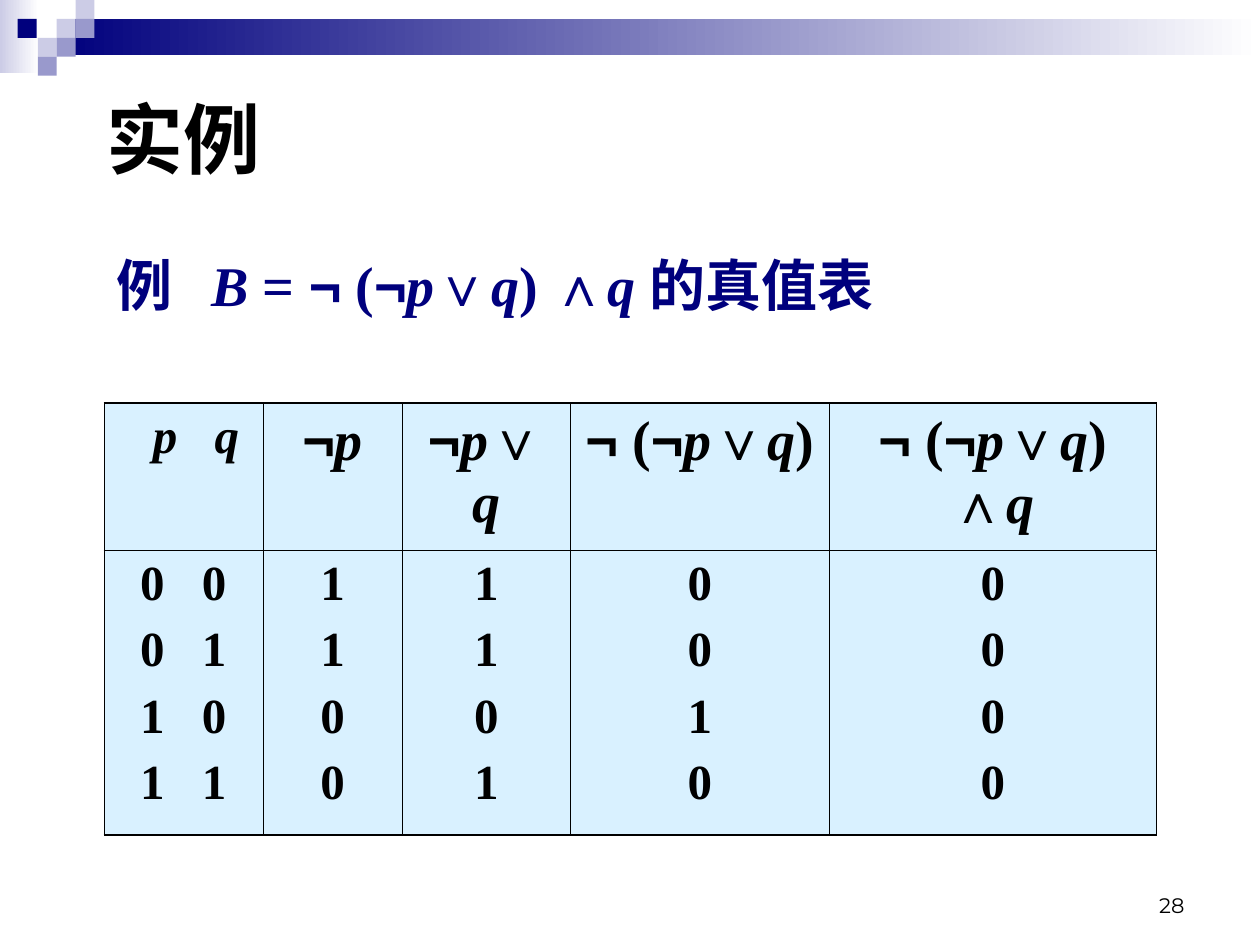
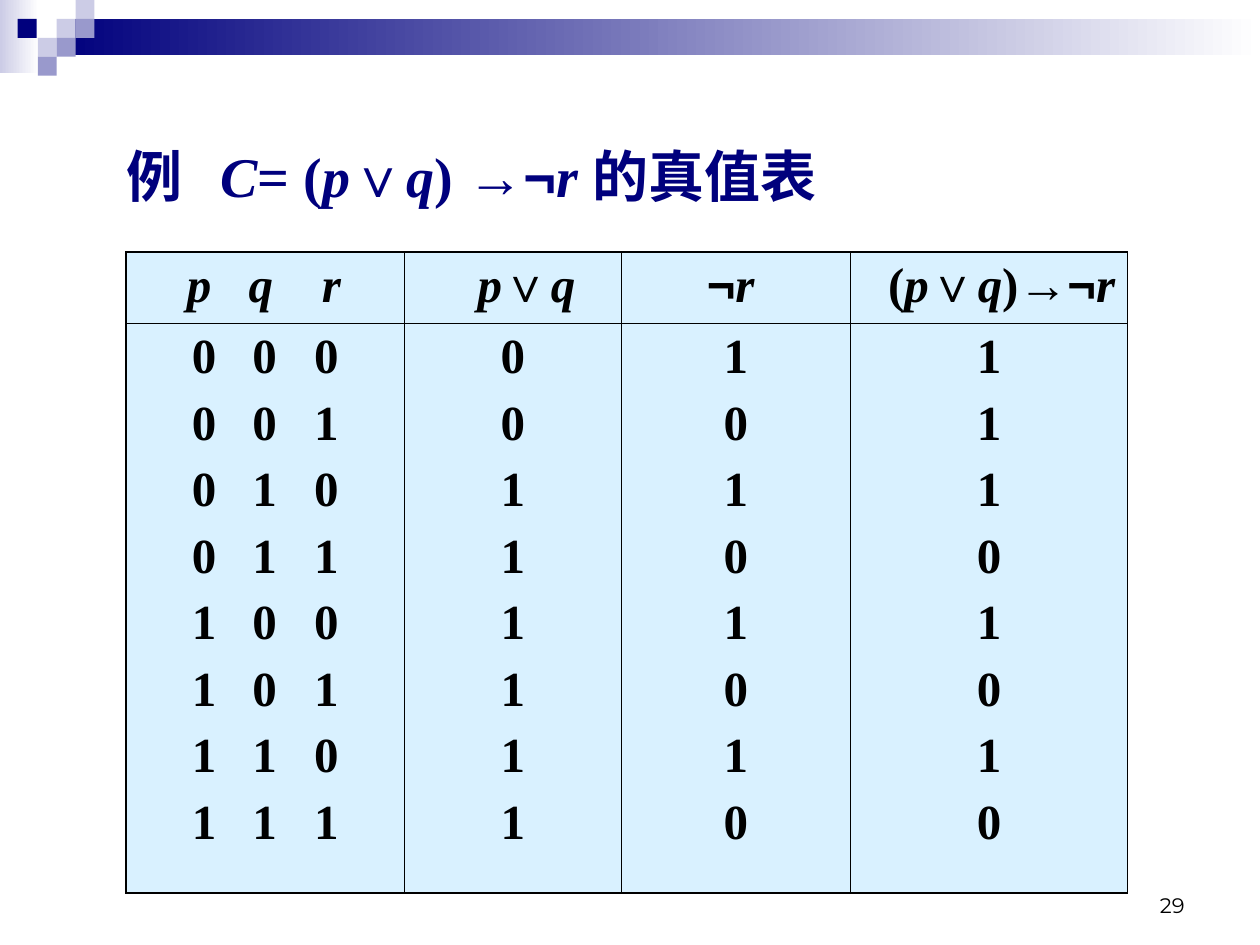
import itertools

import lxml.etree
import pptx
import pptx.dml.color
import pptx.enum.shapes
import pptx.enum.text
import pptx.oxml.ns
import pptx.util

Inches = pptx.util.Inches
Pt = pptx.util.Pt
RGBColor = pptx.dml.color.RGBColor
Align = pptx.enum.text.PP_ALIGN
qn = pptx.oxml.ns.qn

BLACK = RGBColor(0x00, 0x00, 0x00)
WHITE = RGBColor(0xFF, 0xFF, 0xFF)
NAVY = RGBColor(0x00, 0x00, 0x7D)
LAVENDER = RGBColor(0xCC, 0xCC, 0xE6)
PERIWINKLE = RGBColor(0x99, 0x99, 0xCC)
PALE_BLUE = RGBColor(0xD9, 0xF1, 0xFF)

TEXT_FONT = "Times New Roman"
SYMBOL_FONT = "Arial"
CHINESE_FONT = "Noto Sans CJK SC"
NUMBER_FONT = "Montserrat"

BANDS = [(0, 0, 0.31, 0.58, LAVENDER), (0.45, 0.15, 9.55, 0.29, NAVY)]
SQUARES = [
    (0.45, 0.15, LAVENDER), (0.6, 0, LAVENDER), (0.6, 0.15, PERIWINKLE),
    (0.3, 0.3, LAVENDER), (0.14, 0.15, NAVY), (0.45, 0.3, PERIWINKLE),
    (0.3, 0.45, PERIWINKLE),
]
OUTER_LINE, INNER_LINE = 1.08, 0.45


def kind_of(character):
    if character in "¬∨∧→":
        return "symbol"
    if character >= "一":
        return "chinese"
    return "variable" if character.isalpha() else "plain"


class TruthTableDeck:
    def __init__(self):
        self.deck = pptx.Presentation()
        self.deck.slide_width, self.deck.slide_height = Inches(10), Inches(7.5)
        self.page = None

    def add_page(self, number):
        first = self.page is None
        self.page = self.deck.slides.add_slide(self.deck.slide_layouts[5])
        if first:
            self.decorate_master()
        self.number(number)

    def decorate_master(self):
        shapes = [self.rectangle(*band, fade=True) for band in BANDS]
        shapes += [self.rectangle(left, top, 0.15, 0.15, color)
                   for left, top, color in SQUARES]
        tree = self.deck.slide_master.element.find(".//" + qn("p:spTree"))
        for index, shape in enumerate(shapes):
            shape.element.find(".//" + qn("p:cNvPr")).set("id", str(100 + index))
            tree.insert(2 + index, shape.element)

    def rectangle(self, left, top, width, height, color, fade=False):
        shape = self.page.shapes.add_shape(
            pptx.enum.shapes.MSO_SHAPE.RECTANGLE,
            Inches(left), Inches(top), Inches(width), Inches(height))
        shape.shadow.inherit = False
        shape.line.fill.background()
        if fade:
            shape.fill.gradient()
            shape.fill.gradient_angle = 180
            for stop, stop_color in zip(shape.fill.gradient_stops, (WHITE, color)):
                stop.color.rgb = stop_color
        else:
            shape.fill.solid()
            shape.fill.fore_color.rgb = color
        return shape

    def text_box(self, left, top, width, height):
        box = self.page.shapes.add_textbox(
            Inches(left), Inches(top), Inches(width), Inches(height))
        box.text_frame.word_wrap = True
        return box

    def number(self, number):
        box = self.text_box(7.17, 6.83, 2.33, 0.5)
        box.text_frame.vertical_anchor = pptx.enum.text.MSO_ANCHOR.BOTTOM
        para = box.text_frame.paragraphs[0]
        para.text = str(number)
        self.style(para, 12, BLACK, Align.RIGHT, NUMBER_FONT, bold=False)

    def title(self, left, top, width, height):
        box = self.page.shapes.title
        box.left, box.top = Inches(left), Inches(top)
        box.width, box.height = Inches(width), Inches(height)
        frame = box.text_frame
        frame.word_wrap = True
        frame.auto_size = pptx.enum.text.MSO_AUTO_SIZE.NONE
        frame.vertical_anchor = pptx.enum.text.MSO_ANCHOR.TOP
        return box

    def style(self, para, size, color, align, font=TEXT_FONT, bold=True, stops=(),
              tab_align="ctr"):
        para.alignment = align
        if stops:
            properties = para._p.get_or_add_pPr()
            tabs = lxml.etree.SubElement(properties, qn("a:tabLst"))
            for stop in stops:
                lxml.etree.SubElement(tabs, qn("a:tab"), pos=str(Inches(stop)),
                                      algn=tab_align)
        para.font.size, para.font.bold = Pt(size), bold
        para.font.color.rgb, para.font.name = color, font

    def formula(self, para, text):
        for kind, characters in itertools.groupby(text, kind_of):
            span = para.add_run()
            span.text = "".join(characters)
            if kind == "variable":
                span.font.italic = True
            elif kind != "plain":
                font = SYMBOL_FONT if kind == "symbol" else CHINESE_FONT
                span.font.name = font
                lxml.etree.SubElement(span.font._element, qn("a:ea"), typeface=font)

    def example(self, box, text):
        para = box.text_frame.paragraphs[0]
        self.style(para, 32, NAVY, Align.LEFT, stops=[0.75], tab_align="l")
        self.formula(para, text)

    def border(self, cell, sides):
        properties = cell._tc.get_or_add_tcPr()
        for index, (side, width) in enumerate(sides.items()):
            line = lxml.etree.Element(qn("a:ln" + side), w=str(Pt(width)))
            fill = lxml.etree.SubElement(line, qn("a:solidFill"))
            lxml.etree.SubElement(fill, qn("a:srgbClr"), val=str(BLACK))
            properties.insert(index, line)

    def truth_table(self, left, top, widths, heights, headers, columns, row_stops):
        table = self.page.shapes.add_table(
            2, len(widths), Inches(left), Inches(top),
            Inches(sum(widths)), Inches(sum(heights))).table
        table.first_row = table.horz_banding = False
        for row, height in zip(table.rows, heights):
            row.height = Inches(height)
        last = len(widths) - 1
        for index, (width, header, values) in enumerate(zip(widths, headers, columns)):
            table.columns[index].width = Inches(width)
            text, size, align, indent, stops = header
            head, body = table.cell(0, index), table.cell(1, index)
            para = head.text_frame.paragraphs[0]
            if indent:
                para._p.get_or_add_pPr().set("marL", str(Inches(indent)))
            self.style(para, size, BLACK, align, stops=stops)
            self.formula(para, text)
            frame = body.text_frame
            for line, value in enumerate(values):
                para = frame.add_paragraph() if line else frame.paragraphs[0]
                if line:
                    para.space_before = Pt(7)
                para.text = value
                self.style(para, 28, BLACK, Align.CENTER if index else Align.LEFT,
                           stops=() if index else row_stops)
            for row, cell in enumerate((head, body)):
                cell.fill.solid()
                cell.fill.fore_color.rgb = PALE_BLUE
                self.border(cell, {
                    "L": INNER_LINE if index else OUTER_LINE,
                    "R": OUTER_LINE if index == last else INNER_LINE,
                    "T": INNER_LINE if row else OUTER_LINE,
                    "B": OUTER_LINE if row else INNER_LINE,
                })


def assignments(count):
    return ["".join("\t" + bit for bit in bits)
            for bits in itertools.product("01", repeat=count)]


def main():
    show = TruthTableDeck()

    show.add_page(28)
    heading = show.title(0.71, 0.68, 1.5, 0.84)
    para = heading.text_frame.paragraphs[0]
    para.text = "实例"
    show.style(para, 44, BLACK, Align.CENTER, SYMBOL_FONT)
    show.example(show.text_box(0.83, 1.94, 7.8, 0.64),
                 "例\tB = ¬ (¬p∨q) ∧q 的真值表")
    formulas = ["¬p", "¬p∨q", "¬ (¬p∨q)", "¬ (¬p∨q) ∧q"]
    show.truth_table(
        0.83, 3.2, [1.26, 1.1, 1.34, 2.05, 2.6], [1.16, 2.26],
        [("\tp\tq", 28, Align.LEFT, 0, [0.38, 0.87])]
        + [(text, 32, Align.CENTER, 0, ()) for text in formulas],
        [assignments(2), "1100", "1101", "0010", "0000"], [0.28, 0.77])

    show.add_page(29)
    show.example(show.title(0.9, 1.07, 8.35, 0.64), "例\tC= (p∨q) →¬r 的真值表")
    show.truth_table(
        1, 2, [2.21, 1.72, 1.82, 2.2], [0.57, 4.52],
        [("\tp\tq\tr", 28, Align.LEFT, 0, [0.48, 0.97, 1.53]),
         ("p∨q", 28, Align.LEFT, 0.48, ()),
         ("¬r", 28, Align.LEFT, 0.58, ()),
         ("(p∨q)→¬r", 28, Align.RIGHT, 0, ())],
        [assignments(3), "00111111", "10101010", "11101010"], [0.52, 1, 1.49])

    show.deck.save("out.pptx")


if __name__ == "__main__":
    main()
